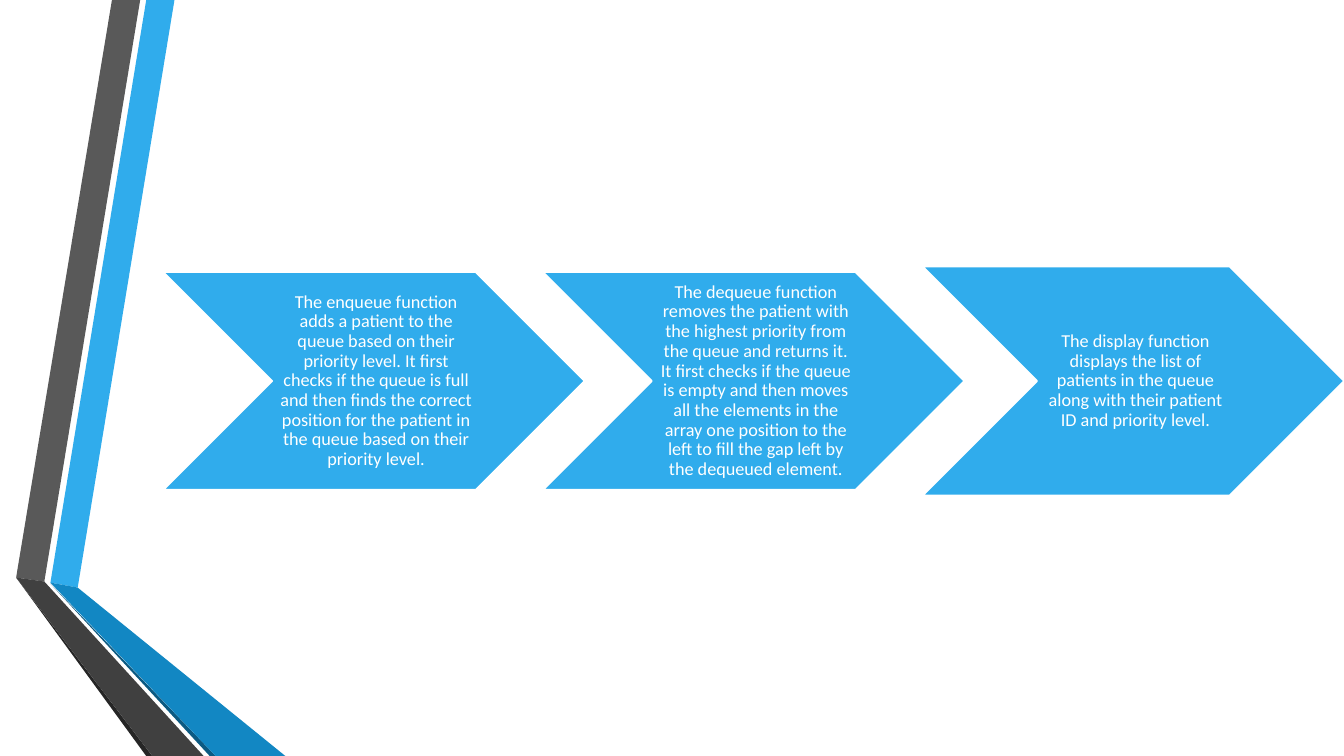
from dataclasses import dataclass

from pptx import Presentation
from pptx.dml.color import RGBColor
from pptx.enum.shapes import MSO_SHAPE as Preset
from pptx.enum.text import MSO_ANCHOR as Anchor, PP_ALIGN as Align
from pptx.shapes.autoshape import Shape
from pptx.shapes.shapetree import SlideShapes
from pptx.util import Inches, Pt

WIDTH, HEIGHT = Inches(13.33), Inches(7.5)


@dataclass(frozen=True)
class Theme:
    blue: str = "30ACEC"
    deep_blue: str = "1287C3"
    navy: str = "0C5A82"
    grey: str = "595959"
    charcoal: str = "404040"
    black: str = "262626"
    white: str = "FFFFFF"
    font: str = "Calibri"
    text_size: float = 13
    outline: float = 1.25


@dataclass(frozen=True)
class Ribbon:
    color: str
    corners: tuple[tuple[float, float], ...]


@dataclass(frozen=True)
class Step:
    text: str
    height: float = 28.8


THEME = Theme()
FIRST_LEFT, PITCH, STEP_WIDTH, MIDDLE = 12.15, 28.25, 31.35, 50.4

RIBBONS = (
    Ribbon(THEME.blue, ((3.75, 77.07), (5.78, 77.73), (12.98, 0), (10.88, 0))),
    Ribbon(THEME.grey, ((10.43, 0), (8.33, 0), (1.2, 76.4), (3.3, 76.93))),
    Ribbon(THEME.black, ((1.2, 76.4), (10.88, 100), (11.33, 100))),
    Ribbon(THEME.navy, ((3.75, 77.2), (15.6, 100), (16.05, 100))),
    Ribbon(THEME.deep_blue, ((3.75, 77.07), (16.05, 100), (21.23, 100), (5.78, 77.73))),
    Ribbon(THEME.charcoal, ((1.2, 76.4), (11.33, 100), (15.15, 100), (3.3, 76.93))),
)

STEPS = (
    Step("The enqueue function adds a patient to the queue based on their priority level. "
         "It first checks if the queue is full and then finds the correct position for the "
         "patient in the queue based on their priority level."),
    Step("The dequeue function removes the patient with the highest priority from the queue "
         "and returns it. It first checks if the queue is empty and then moves all the "
         "elements in the array one position to the left to fill the gap left by the "
         "dequeued element."),
    Step("The display function displays the list of patients in the queue along with their "
         "patient ID and priority level.", height=30.27),
)


def across(percent: float) -> int:
    return round(WIDTH * percent / 100)


def down(percent: float) -> int:
    return round(HEIGHT * percent / 100)


def paint(shape: Shape, color: str) -> None:
    shape.shadow.inherit = False
    shape.fill.solid()
    shape.fill.fore_color.rgb = RGBColor.from_string(color)


def draw_ribbon(shapes: SlideShapes, ribbon: Ribbon) -> None:
    start, *others = [(across(x), down(y)) for x, y in ribbon.corners]
    builder = shapes.build_freeform(*start)
    builder.add_line_segments(others, close=True)
    shape = builder.convert_to_shape()
    paint(shape, ribbon.color)
    shape.line.fill.background()


def draw_step(shapes: SlideShapes, step: Step, index: int) -> None:
    shape = shapes.add_shape(
        Preset.CHEVRON,
        across(FIRST_LEFT + index * PITCH), down(MIDDLE - step.height / 2),
        across(STEP_WIDTH), down(step.height),
    )
    paint(shape, THEME.blue)
    shape.line.color.rgb = RGBColor.from_string(THEME.white)
    shape.line.width = Pt(THEME.outline)

    frame = shape.text_frame
    frame.word_wrap = True
    frame.vertical_anchor = Anchor.MIDDLE
    frame.margin_left = Inches(0.06)
    frame.margin_top = frame.margin_right = frame.margin_bottom = Inches(0.02)

    paragraph = frame.paragraphs[0]
    paragraph.text = step.text
    paragraph.alignment = Align.CENTER
    paragraph.line_spacing = 0.9
    paragraph.font.name = THEME.font
    paragraph.font.size = Pt(THEME.text_size)
    paragraph.font.color.rgb = RGBColor.from_string(THEME.white)


def main() -> None:
    presentation = Presentation()
    presentation.slide_width, presentation.slide_height = WIDTH, HEIGHT
    slide = presentation.slides.add_slide(presentation.slide_layouts[6])
    for ribbon in RIBBONS:
        draw_ribbon(slide.shapes, ribbon)
    for index, step in enumerate(STEPS):
        draw_step(slide.shapes, step, index)
    presentation.save("out.pptx")


if __name__ == "__main__":
    main()
